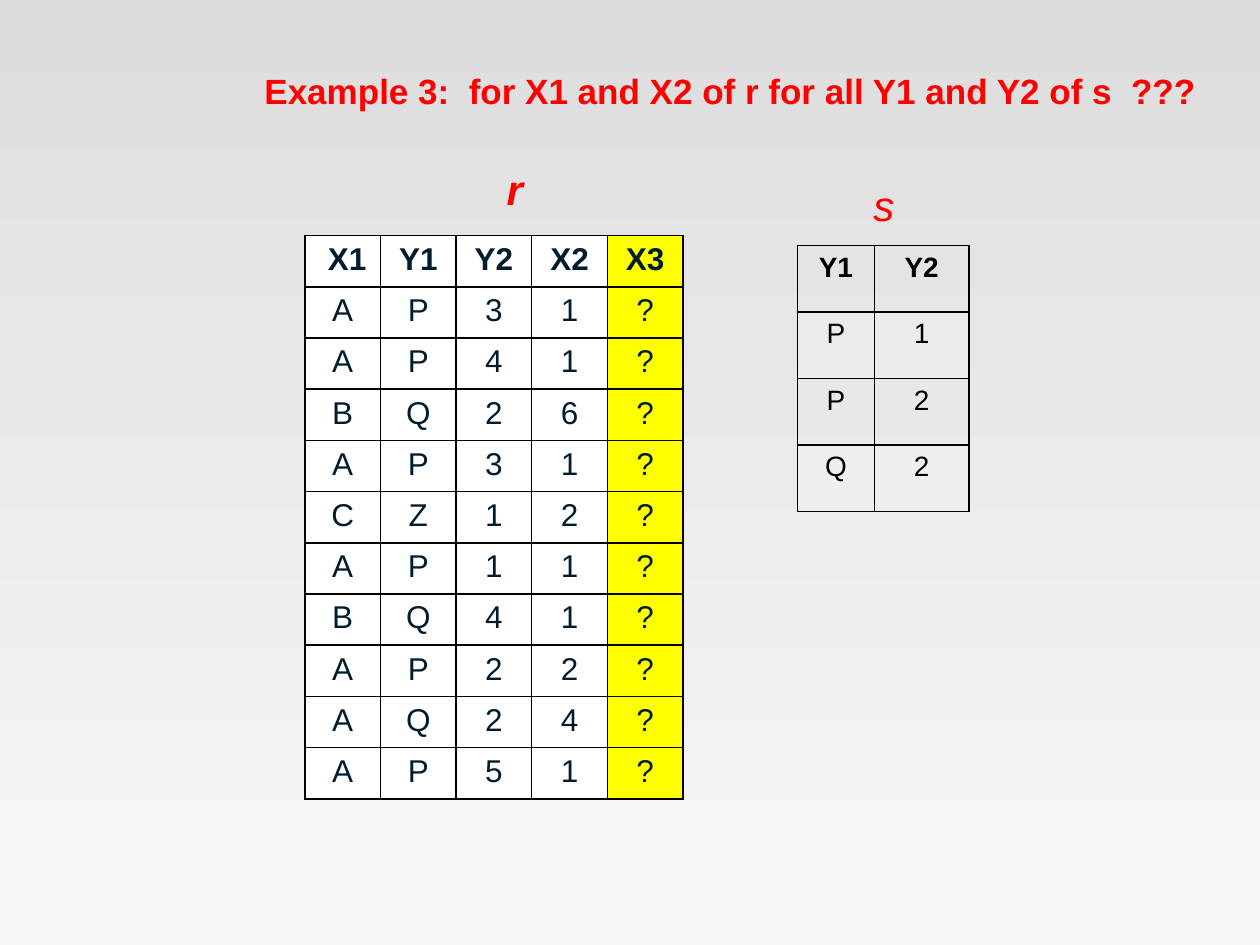
from lxml import etree
from pptx import Presentation
from pptx.dml.color import RGBColor
from pptx.enum.text import MSO_ANCHOR, MSO_AUTO_SIZE, PP_ALIGN
from pptx.oxml.ns import qn
from pptx.util import Inches, Pt

CENTER, LEFT = PP_ALIGN.CENTER, PP_ALIGN.LEFT
TOP, MIDDLE = MSO_ANCHOR.TOP, MSO_ANCHOR.MIDDLE
FIT = MSO_AUTO_SIZE.SHAPE_TO_FIT_TEXT
RED, WHITE, YELLOW, BLACK, NAVY = "FF0000", "FFFFFF", "FFFF00", "000000", "001D2E"
R_ROWS = [row.split(",") for row in (
    " X1,Y1,Y2,X2,X3", "A,P,3,1,?", "A,P,4,1,?", "B,Q,2,6,?", "A,P,3,1,?",
    "C,Z,1,2,?", "A,P,1,1,?", "B,Q,4,1,?", "A,P,2,2,?", "A,Q,2,4,?", "A,P,5,1,?")]
S_ROWS = [row.split(",") for row in ("Y1,Y2", "P,1", "P,2", "Q,2")]


def color(value):
    """Turn a hex string into a colour."""
    return RGBColor.from_string(value)


def write(tf, text, align, hue, **fmt):
    """Write one formatted run into a text frame."""
    p = tf.paragraphs[0]
    p.alignment = align
    r = p.add_run()
    r.text = text
    r.font.color.rgb = color(hue)
    for name, value in {"name": "Arial", **fmt}.items():
        setattr(r.font, name, value)


def add_label(s, box, text, align, anchor, **fmt):
    """Add a red, unwrapped text box."""
    tf = s.shapes.add_textbox(*map(Inches, box)).text_frame
    for name, value in {"word_wrap": False, "auto_size": FIT, "vertical_anchor": anchor}.items():
        setattr(tf, name, value)
    write(tf, text, align, RED, **fmt)


def add_borders(cell):
    """Draw black one-point lines on all four sides of a cell."""
    tc_pr = cell._tc.get_or_add_tcPr()
    for i, side in enumerate(("lnL", "lnR", "lnT", "lnB")):
        ln = etree.Element(qn(f"a:{side}"), w=str(Pt(1)))
        fill = etree.SubElement(ln, qn("a:solidFill"))
        etree.SubElement(fill, qn("a:srgbClr"), val=BLACK)
        tc_pr.insert(i, ln)


def fill_cell(cell, hue, opacity):
    """Fill a cell, or leave it clear when no colour is given."""
    if hue is None:
        cell.fill.background()
        return
    cell.fill.solid()
    cell.fill.fore_color.rgb = color(hue)
    if opacity < 100:
        rgb = cell._tc.tcPr.find(f"{qn('a:solidFill')}/{qn('a:srgbClr')}")
        etree.SubElement(rgb, qn("a:alpha"), val=str(opacity * 1000))


def add_grid(s, left, top, widths, row_height, rows, size, hue, fill_rule, opacity=100):
    """Add a bordered table with a bold first row."""
    box = (left, top, sum(widths), row_height * len(rows))
    table = s.shapes.add_table(len(rows), len(widths), *map(Inches, box)).table
    table.first_row = table.horz_banding = False
    for column, width in zip(table.columns, widths):
        column.width = Inches(width)
    for i, row in enumerate(rows):
        table.rows[i].height = Inches(row_height)
        for j, text in enumerate(row):
            cell = table.cell(i, j)
            fill_cell(cell, fill_rule(i, j), opacity)
            add_borders(cell)
            write(cell.text_frame, text, CENTER, hue, size=Pt(size), bold=i == 0)


def set_background(s):
    """Shade the slide from grey at the top to near white at the bottom."""
    fill = s.background.fill
    fill.gradient()
    fill.gradient_angle = 270
    for stop, position, hue in zip(fill.gradient_stops, (0, 1), ("DDDDDD", "F8F8F8")):
        stop.position = position
        stop.color.rgb = color(hue)


def main():
    """Build and save the slide."""
    prs = Presentation()
    prs.slide_width, prs.slide_height = Inches(10), Inches(7.5)
    s = prs.slides.add_slide(prs.slide_layouts[6])
    set_background(s)
    add_grid(s, 6.33, 1.95, (0.61, 0.75), 2.11 / len(S_ROWS), S_ROWS, 16, BLACK,
             lambda i, j: WHITE if i % 2 else None, opacity=20)
    add_grid(s, 2.42, 1.87, (0.6,) * 5, 4.47 / len(R_ROWS), R_ROWS, 18, NAVY,
             lambda i, j: YELLOW if j == 4 else WHITE)
    add_label(s, (3.92, 1.25, 0.33, 0.5), "r", CENTER, MIDDLE,
              size=Pt(24), bold=True, italic=True)
    add_label(s, (6.83, 1.37, 0.37, 0.51), "s", CENTER, MIDDLE, size=Pt(24), italic=True)
    add_label(s, (2, 0.5, 7.65, 0.44),
              "Example 3:  for X1 and X2 of r for all Y1 and Y2 of s  ???",
              LEFT, TOP, size=Pt(20), bold=True)
    prs.save("out.pptx")


if __name__ == "__main__":
    main()
